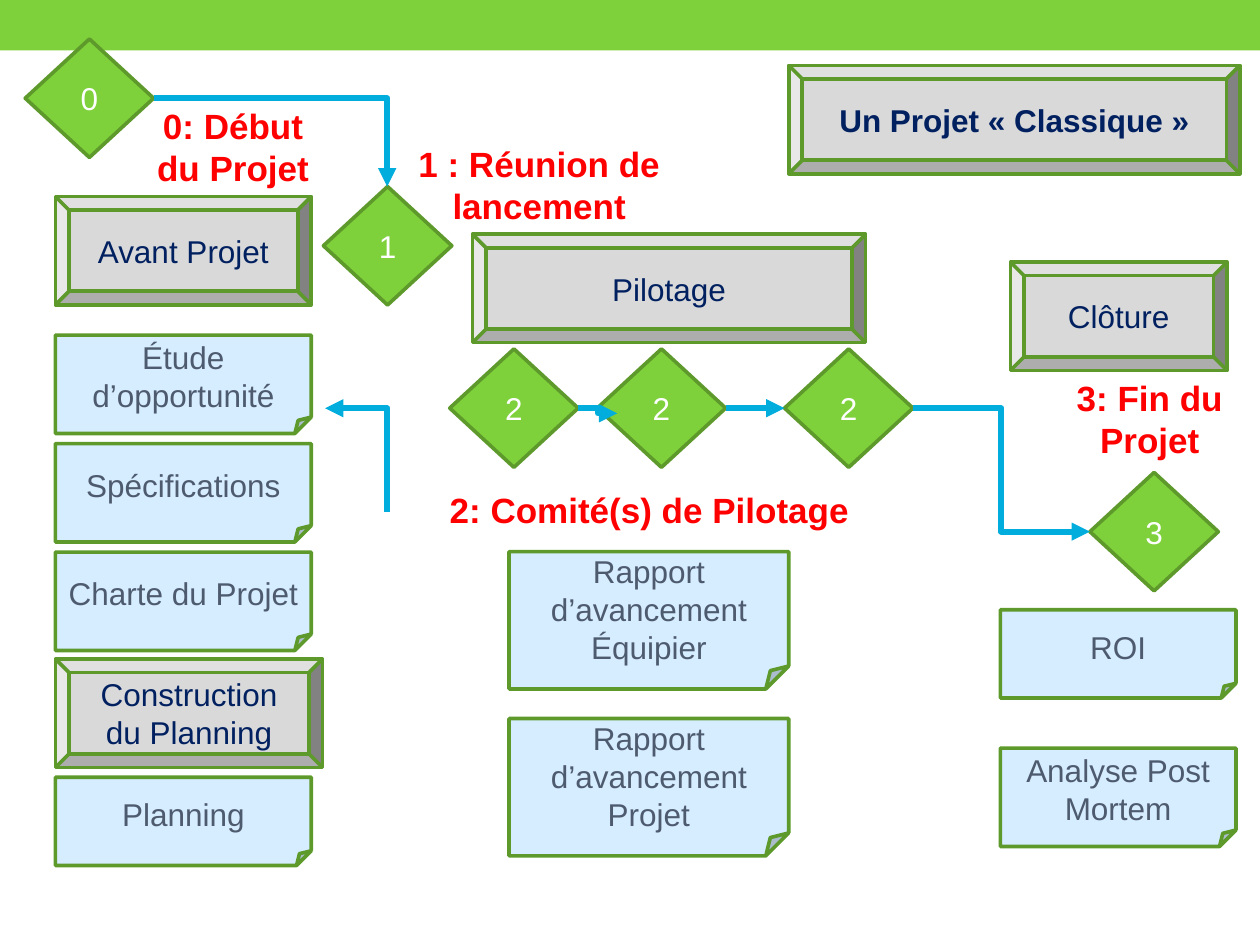
from dataclasses import dataclass

from lxml import etree
from pptx import Presentation
from pptx import util as u
from pptx.dml.color import RGBColor
from pptx.enum import shapes, text
from pptx.oxml import ns
from pptx.slide import Slide


@dataclass(frozen=True)
class Theme:
    font: str = "Arial"
    body_size: float = 18
    label_size: float = 20
    green: str = "7FD13B"
    outline: str = "5D9A2B"
    note_fill: str = "D6ECFF"
    note_text: str = "4E5B6F"
    phase_fill: str = "D9D9D9"
    phase_text: str = "002060"
    label_text: str = "FF0000"
    arrow: str = "00ADDC"
    white: str = "FFFFFF"
    outline_width: float = 2.07
    arrow_width: float = 3.5


def color(value):
    return RGBColor.from_string(value)


def points(*values):
    return [u.Pt(value) for value in values]


def write_text(frame, content, *, font, size, fill, bold=False, wrap=True,
               anchor=text.MSO_ANCHOR.MIDDLE):
    frame.word_wrap = wrap
    frame.vertical_anchor = anchor
    paragraph = frame.paragraphs[0]
    paragraph.alignment = text.PP_ALIGN.CENTER
    run = paragraph.add_run()
    run.text = content
    run.font.name = font
    run.font.size = u.Pt(size)
    run.font.bold = bold
    run.font.color.rgb = color(fill)


@dataclass
class Diagram:
    theme: Theme
    slide: Slide

    def block(self, kind, box, fill, outlined=True):
        shape = self.slide.shapes.add_shape(kind, *points(*box))
        shape.shadow.inherit = False
        shape.fill.solid()
        shape.fill.fore_color.rgb = color(fill)
        if outlined:
            shape.line.color.rgb = color(self.theme.outline)
            shape.line.width = u.Pt(self.theme.outline_width)
        else:
            shape.line.fill.background()
        return shape

    def band(self, width, height):
        self.block(shapes.MSO_SHAPE.RECTANGLE, (0, 0, width, height),
                   self.theme.green, outlined=False)

    def milestone(self, number, left, top):
        shape = self.block(shapes.MSO_SHAPE.DIAMOND, (left, top, 73.4, 67.7), self.theme.green)
        write_text(shape.text_frame, number, font=self.theme.font,
                   size=self.theme.body_size, fill=self.theme.white)

    def phase(self, title, left, top, width, bold=False):
        shape = self.block(shapes.MSO_SHAPE.BEVEL, (left, top, width, 61.9), self.theme.phase_fill)
        write_text(shape.text_frame, title, font=self.theme.font,
                   size=self.theme.body_size, fill=self.theme.phase_text, bold=bold)

    def note(self, title, *box):
        shape = self.block(shapes.MSO_SHAPE.FOLDED_CORNER, box, self.theme.note_fill)
        write_text(shape.text_frame, title, font=self.theme.font,
                   size=self.theme.body_size, fill=self.theme.note_text)

    def label(self, content, *box, wrap=True):
        shape = self.slide.shapes.add_textbox(*points(*box))
        write_text(shape.text_frame, content, font=self.theme.font,
                   size=self.theme.label_size, fill=self.theme.label_text,
                   bold=True, wrap=wrap, anchor=text.MSO_ANCHOR.TOP)

    def arrow(self, start, end, single_bend=False, vertical_first=False):
        if vertical_first:
            center_x, center_y = (start[0] + end[0]) / 2, (start[1] + end[1]) / 2
            start, end = [(center_x + y - center_y, center_y - x + center_x)
                          for x, y in (start, end)]
        connector = self.slide.shapes.add_connector(
            shapes.MSO_CONNECTOR.ELBOW, *points(*start, *end))
        connector.line.color.rgb = color(self.theme.arrow)
        connector.line.width = u.Pt(self.theme.arrow_width)
        properties = connector._element.spPr
        if single_bend:
            properties.find(ns.qn("a:prstGeom")).set("prst", "bentConnector2")
        if vertical_first:
            properties.find(ns.qn("a:xfrm")).set("rot", "5400000")
        line = properties.find(ns.qn("a:ln"))
        etree.SubElement(line, ns.qn("a:round"))
        etree.SubElement(line, ns.qn("a:tailEnd"), type="triangle")
        etree.SubElement(properties, ns.qn("a:effectLst"))


def main():
    presentation = Presentation()
    presentation.slide_width, presentation.slide_height = points(720, 540)
    slide = presentation.slides.add_slide(presentation.slide_layouts[6])
    diagram = Diagram(Theme(), slide)

    diagram.band(720, 28.8)

    for number, left, top in (
        ("0", 14.4, 22.3),
        ("1", 184.8, 106.6),
        ("2", 257, 199.4),
        ("2", 341.3, 199.4),
        ("2", 448.3, 199.4),
        ("3", 622.8, 270),
    ):
        diagram.milestone(number, left, top)

    for title, left, top, width in (
        ("Avant Projet", 31.7, 112.3, 146.2),
        ("Pilotage", 270, 133.9, 224.6),
        ("Clôture", 577.4, 149.8, 123.8),
        ("Construction du Planning", 31.7, 376.6, 152.6),
    ):
        diagram.phase(title, left, top, width)
    diagram.phase("Un Projet « Classique »", 450.7, 37.4, 257.8, bold=True)

    for row, title in enumerate(("Étude d’opportunité", "Spécifications", "Charte du Projet")):
        diagram.note(title, 31.7, 191.5 + 62 * row, 146.2, 56.2)
    diagram.note("Planning", 31.7, 444.2, 146.2, 50.4)
    for row, author in enumerate(("Équipier", "Projet")):
        diagram.note(f"Rapport d’avancement {author}", 290.9, 315.2 + 95.4 * row, 159.8, 78.5)
    diagram.note("ROI", 571.7, 348.5, 134.6, 50.4)
    diagram.note("Analyse Post Mortem", 571.7, 427.5, 134.6, 56.2)

    diagram.label("0: Début du Projet", 71.3, 56.2, 123.8, 55.4)
    diagram.label("1 : Réunion de lancement", 212.4, 77.8, 191.5, 55.4)
    diagram.label("2: Comité(s) de Pilotage", 249.8, 275.8, 242.6, 31, wrap=False)
    diagram.label("3: Fin du Projet", 605.5, 211.7, 103, 55.4)

    diagram.arrow((87.8, 56.2), (221.3, 106.6), single_bend=True)
    diagram.arrow((221.3, 292.4), (185.8, 233.3), single_bend=True, vertical_first=True)
    for start, end in (
        ((330.4, 233.3), (352.7, 236.2)),
        ((414.7, 233.3), (448.3, 233.3)),
        ((521.6, 233.3), (622.8, 303.8)),
    ):
        diagram.arrow(start, end)

    presentation.save("out.pptx")


if __name__ == "__main__":
    main()
